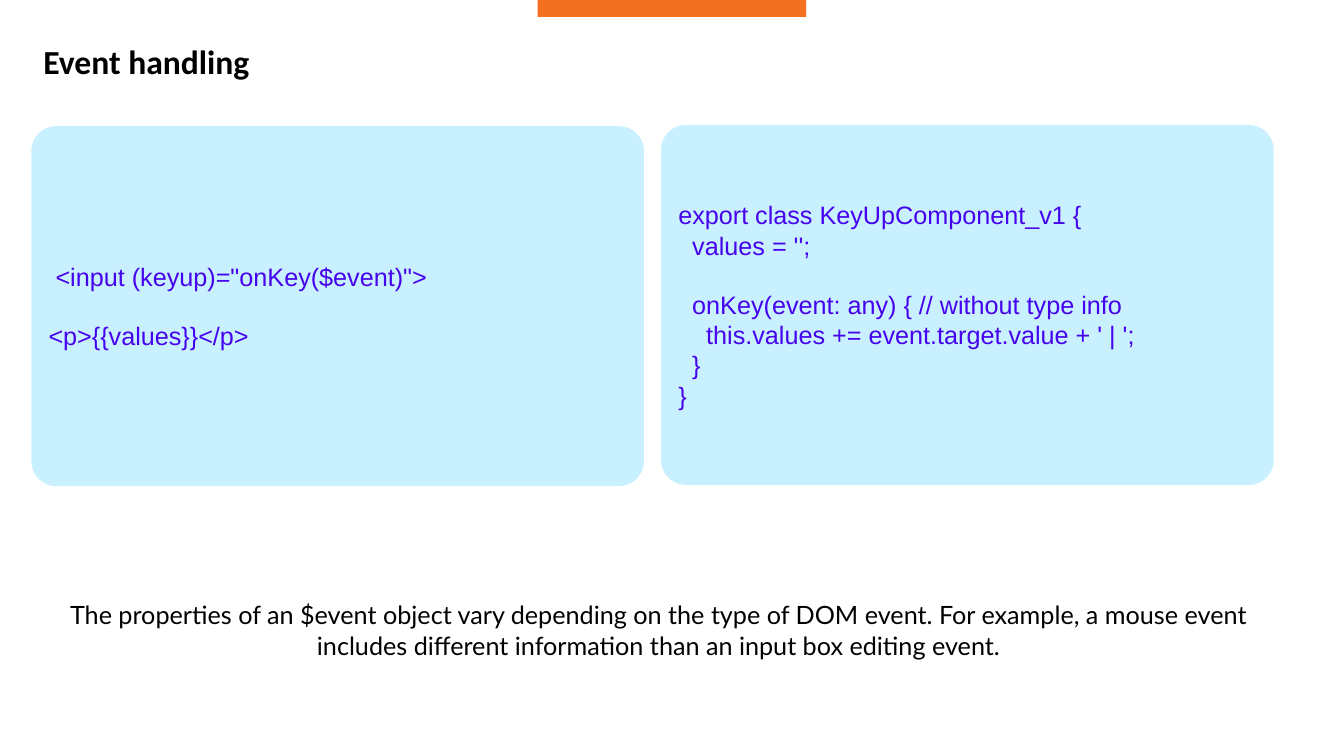
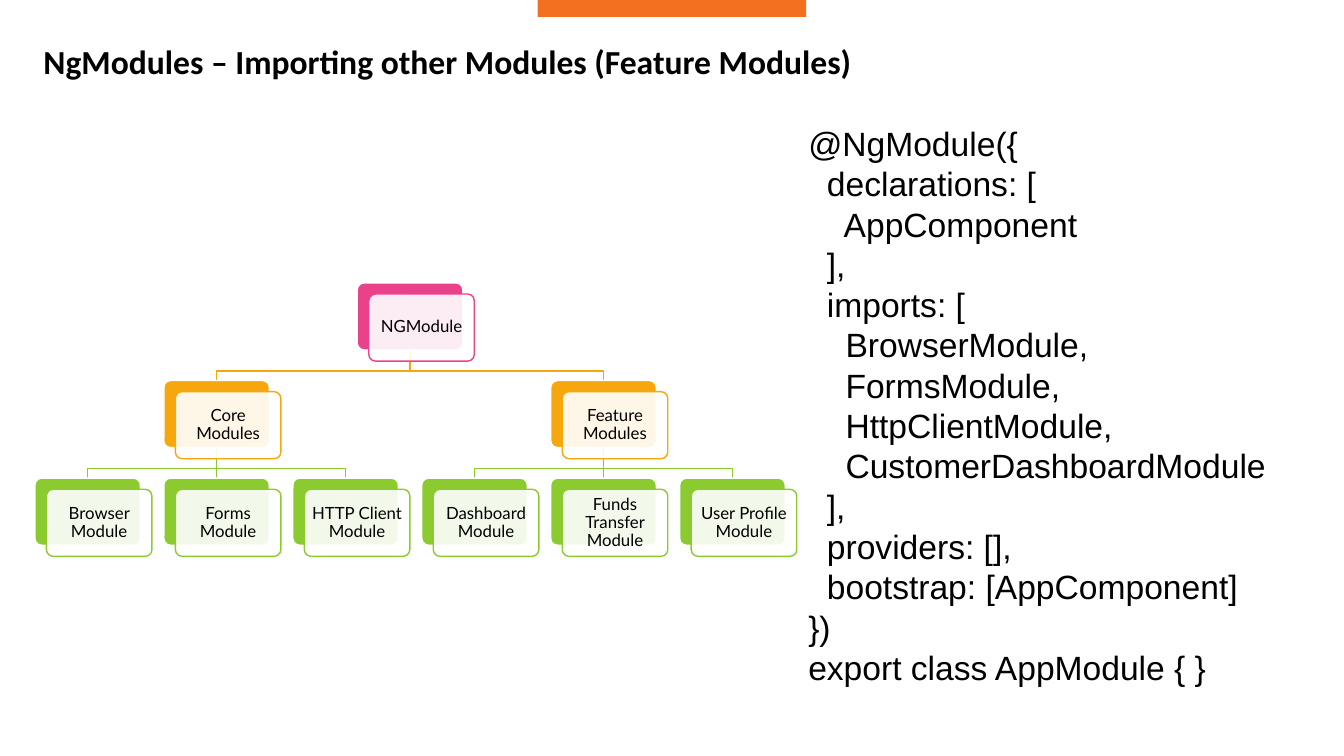
from dataclasses import dataclass
from typing import Optional

from pptx import Presentation
from pptx.dml.color import RGBColor
from pptx.enum.shapes import MSO_CONNECTOR, MSO_SHAPE
from pptx.enum.text import MSO_ANCHOR, MSO_AUTO_SIZE, PP_ALIGN
from pptx.oxml.ns import qn
from pptx.oxml.xmlchemy import OxmlElement
from pptx.util import Cm, Pt

COLORS = {
    "accent": "F37021",
    "card": "C9F0FF",
    "code": "4603ED",
    "text": "000000",
    "white": "FFFFFF",
    "root": "EA428A",
    "group": "F5A70D",
    "leaf": "8BCB30",
}
LINE_HEIGHT = 1.15  # Arial line height relative to its size

# Module tree grid, in cm
TREE_LEFT, TREE_TOP = 0.88, 7.13
COL_STEP, ROW_STEP = 3.25, 2.46
NODE_W, NODE_H = 2.66, 1.69
FRONT_DX, FRONT_DY = 0.29, 0.28
BEND = 0.53  # drop from a parent to its horizontal rail
LEVEL_COLORS = ("root", "group", "leaf")


@dataclass(frozen=True)
class Card:
    left: float
    top: float
    code: str


@dataclass(frozen=True)
class Node:
    text: str
    col: float
    row: int
    parent: Optional[int] = None

    @property
    def left(self) -> float:
        return TREE_LEFT + self.col * COL_STEP

    @property
    def top(self) -> float:
        return TREE_TOP + self.row * ROW_STEP

    @property
    def center(self) -> float:
        return self.left + NODE_W / 2

    @property
    def color(self) -> str:
        return LEVEL_COLORS[self.row]


CARDS = (
    Card(0.79, 3.18, """ <input (keyup)="onKey($event)">

<p>{{values}}</p>"""),
    Card(16.66, 3.15, """export class KeyUpComponent_v1 {
  values = '';

  onKey(event: any) { // without type info
    this.values += event.target.value + ' | ';
  }
}"""),
)

EVENT_NOTE = (
    "The properties of an $event object vary depending on the type of DOM event. "
    "For example, a mouse event includes different information than an input box "
    "editing event."
)

NODES = (
    Node("NGModule", 2.5, 0),
    Node("Core Modules", 1, 1, 0),
    Node("Feature Modules", 4, 1, 0),
    Node("Browser Module", 0, 2, 1),
    Node("Forms Module", 1, 2, 1),
    Node("HTTP Client Module", 2, 2, 1),
    Node("Dashboard Module", 3, 2, 2),
    Node("Funds Transfer Module", 4, 2, 2),
    Node("User Profile Module", 5, 2, 2),
)

MODULE_CODE = """@NgModule({
  declarations: [
    AppComponent
  ],
  imports: [
    BrowserModule,
    FormsModule,
    HttpClientModule,
    CustomerDashboardModule
  ],
  providers: [],
  bootstrap: [AppComponent]
})
export class AppModule { }"""


def rgb(name: str) -> RGBColor:
    return RGBColor.from_string(COLORS[name])


def write(tf, text: str, *, font="Arial", size=18, color="text", bold=False,
          align=PP_ALIGN.LEFT, anchor=MSO_ANCHOR.TOP, spacing=None, inset=None) -> None:
    """Write one paragraph per line; an empty line becomes space before the next."""
    tf.word_wrap = True
    tf.auto_size = MSO_AUTO_SIZE.NONE
    tf.vertical_anchor = anchor
    if inset is not None:
        tf.margin_left = tf.margin_right = tf.margin_top = tf.margin_bottom = Cm(inset)
    gap = 0.0
    for i, line in enumerate(text.split("\n")):
        if not line:
            gap += size * LINE_HEIGHT
            continue
        p = tf.add_paragraph() if i else tf.paragraphs[0]
        p.alignment = align
        p.line_spacing = spacing
        if gap:
            p.space_before = Pt(gap)
            gap = 0.0
        r = p.add_run()
        r.text = line
        r.font.name, r.font.size, r.font.bold = font, Pt(size), bold
        r.font.color.rgb = rgb(color)


def add_box(slide, left: float, top: float, width: float, height: float, fill: str, *,
            line: Optional[str] = None, radius: float = 0, opacity: int = 100):
    """Add a rectangle, rounded when a corner radius (cm) is given."""
    kind = MSO_SHAPE.ROUNDED_RECTANGLE if radius else MSO_SHAPE.RECTANGLE
    s = slide.shapes.add_shape(kind, Cm(left), Cm(top), Cm(width), Cm(height))
    s.shadow.inherit = False
    if radius:
        s.adjustments[0] = radius / min(width, height)
    s.fill.solid()
    s.fill.fore_color.rgb = rgb(fill)
    if opacity < 100:
        alpha = OxmlElement("a:alpha")
        alpha.set("val", str(opacity * 1000))
        s.element.spPr.find(qn("a:solidFill")).find(qn("a:srgbClr")).append(alpha)
    if line:
        s.line.color.rgb = rgb(line)
        s.line.width = Pt(1)
    else:
        s.line.fill.background()
    return s


def add_text(slide, left: float, top: float, width: float, height: float,
             text: str, **style) -> None:
    s = slide.shapes.add_textbox(Cm(left), Cm(top), Cm(width), Cm(height))
    write(s.text_frame, text, **style)


def add_link(slide, parent: Node, child: Node) -> None:
    """Join a parent to its child, straight down or with a bend."""
    x1, y1 = Cm(parent.center), Cm(parent.top + NODE_H)
    x2, y2 = Cm(child.center), Cm(child.top)
    if parent.col == child.col:
        s = slide.shapes.add_connector(MSO_CONNECTOR.STRAIGHT, x1, y1, x2, y2)
    else:
        rail = y1 + Cm(BEND)
        builder = slide.shapes.build_freeform(x1, y1)
        builder.add_line_segments([(x1, rail), (x2, rail), (x2, y2)], close=False)
        s = builder.convert_to_shape()
        s.fill.background()
    s.line.color.rgb = rgb(child.color)
    s.line.width = Pt(1)
    s.element.spPr.append(OxmlElement("a:effectLst"))


def add_node(slide, node: Node) -> None:
    """Draw a coloured back plate and a translucent label plate."""
    add_box(slide, node.left, node.top, NODE_W, NODE_H, node.color,
            line="white", radius=0.17)
    s = add_box(slide, node.left + FRONT_DX, node.top + FRONT_DY, NODE_W, NODE_H,
                "white", line=node.color, radius=0.17, opacity=90)
    write(s.text_frame, node.text, font="Lato", size=12, align=PP_ALIGN.CENTER,
          anchor=MSO_ANCHOR.MIDDLE, spacing=0.9, inset=0.11)


def add_slide(prs, title: str):
    slide = prs.slides.add_slide(prs.slide_layouts[5])
    s = slide.shapes.title
    s.left, s.top, s.width, s.height = Cm(0.84), Cm(1.09), Cm(32.18), Cm(1.45)
    write(s.text_frame, title, font="Calibri", size=24, bold=True, spacing=0.8)
    return slide


def build_event_handling(prs):
    slide = add_slide(prs, "Event handling")
    for card in CARDS:
        s = add_box(slide, card.left, card.top, 15.44, 9.07, "card", radius=0.63)
        write(s.text_frame, card.code, color="code", anchor=MSO_ANCHOR.MIDDLE)
    add_text(slide, 0.94, 14.99, 31.32, 1.78, EVENT_NOTE,
             font="Lato", align=PP_ALIGN.CENTER)
    return slide


def build_modules(prs) -> None:
    slide = add_slide(prs, "NgModules – Importing other Modules (Feature Modules)")
    # Links lie behind the nodes
    for node in NODES:
        if node.parent is not None:
            add_link(slide, NODES[node.parent], node)
    for node in NODES:
        add_node(slide, node)
    add_text(slide, 20.12, 2.97, 12.45, 14.48, MODULE_CODE, size=24)


def main() -> None:
    prs = Presentation()
    prs.slide_width, prs.slide_height = Cm(33.87), Cm(19.05)
    first = build_event_handling(prs)
    build_modules(prs)
    # The accent band moves to the layout, so that every slide shows it
    band = add_box(first, 13.55, 0, 6.77, 0.43, "accent")
    first.slide_layout.shapes.element.append(band.element)
    prs.save("out.pptx")


if __name__ == "__main__":
    main()
